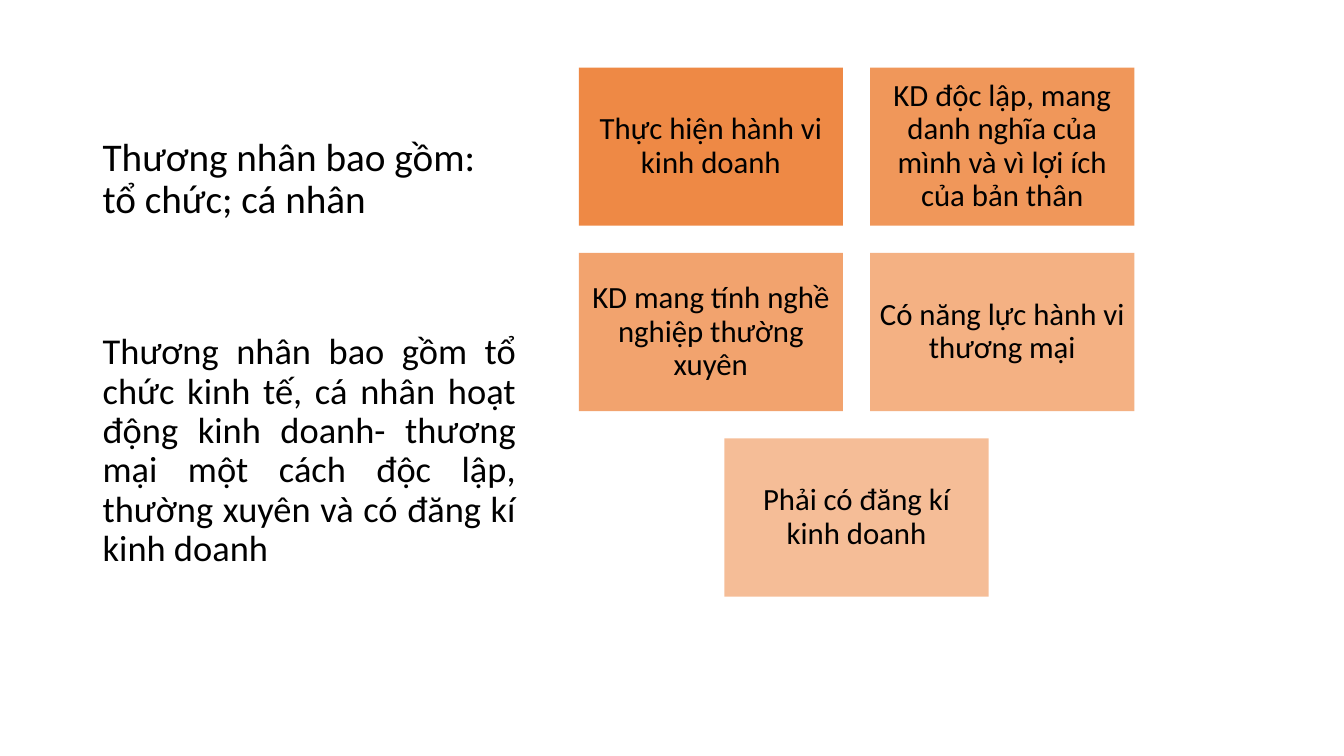
from dataclasses import dataclass

from lxml import etree
from pptx import Presentation
from pptx.dml.color import RGBColor
from pptx.enum.shapes import MSO_SHAPE
from pptx.enum.text import MSO_ANCHOR, PP_ALIGN
from pptx.oxml.ns import qn
from pptx.util import Inches, Pt

RECT = MSO_SHAPE.RECTANGLE
TOP, MIDDLE, BOTTOM = MSO_ANCHOR.TOP, MSO_ANCHOR.MIDDLE, MSO_ANCHOR.BOTTOM
LEFT, CENTER, JUSTIFY = PP_ALIGN.LEFT, PP_ALIGN.CENTER, PP_ALIGN.JUSTIFY


@dataclass(frozen=True)
class Theme:
    font: str = "Calibri"
    ink: RGBColor = RGBColor(0x00, 0x00, 0x00)
    accent: RGBColor = RGBColor(0xED, 0x7D, 0x31)
    title_size: int = 28
    body_size: int = 26
    box_size: int = 22
    line_spacing: float = 0.9


class SlideBuilder:
    def __init__(self, slide, theme):
        self.s = slide
        self.theme = theme

    def set_text(self, sp, text, size, align, anchor, inset_x, inset_y):
        tf = sp.text_frame
        frame_format = {
            "word_wrap": True, "vertical_anchor": anchor,
            "margin_left": Inches(inset_x), "margin_right": Inches(inset_x),
            "margin_top": Inches(inset_y), "margin_bottom": Inches(inset_y),
        }
        for name, value in frame_format.items():
            setattr(tf, name, value)
        p = tf.paragraphs[0]
        p.alignment = align
        p.line_spacing = self.theme.line_spacing
        r = p.add_run()
        r.text = text
        for name, value in {"name": self.theme.font, "size": Pt(size)}.items():
            setattr(r.font, name, value)
        r.font.color.rgb = self.theme.ink

    def text_box(self, at, text, size, align=LEFT, anchor=TOP):
        sp = self.s.shapes.add_textbox(*map(Inches, at))
        self.set_text(sp, text, size, align, anchor, 0.1, 0.05)

    def box(self, at, text, opacity):
        sp = self.s.shapes.add_shape(RECT, *map(Inches, at))
        sp.shadow.inherit = False
        sp.line.fill.background()
        sp.fill.solid()
        sp.fill.fore_color.rgb = self.theme.accent
        color = sp.element.spPr.find(qn("a:solidFill"))[0]
        etree.SubElement(color, qn("a:alpha"), val=str(opacity * 1000))
        self.set_text(sp, text, self.theme.box_size, CENTER, MIDDLE, 0.09, 0.09)


def main():
    prs = Presentation()
    prs.slide_width, prs.slide_height = Inches(13.33), Inches(7.5)
    theme = Theme()
    slide = SlideBuilder(prs.slides.add_slide(prs.slide_layouts[6]), theme)

    # Left column: title and definition
    slide.text_box((0.92, 0.5, 4.3, 1.75), "Thương nhân bao gồm: tổ chức; cá nhân",
                   theme.title_size, anchor=BOTTOM)
    slide.text_box((0.92, 3.26, 4.3, 3.16),
                   "Thương nhân bao gồm tổ chức kinh tế, cá nhân hoạt động kinh doanh- "
                   "thương mại một cách độc lập, thường xuyên và có đăng kí kinh doanh",
                   theme.body_size, align=JUSTIFY)

    # Right side: two-column grid of conditions, last row centred
    conditions = [
        "Thực hiện hành vi kinh doanh",
        "KD độc lập, mang danh nghĩa của mình và vì lợi ích của bản thân",
        "KD mang tính nghề nghiệp thường xuyên",
        "Có năng lực hành vi thương mại",
        "Phải có đăng kí kinh doanh",
    ]
    left, top, width, height = 5.74, 0.67, 2.62, 1.57
    gap = 0.27
    for i, condition in enumerate(conditions):
        row, col = divmod(i, 2)
        row_count = min(2, len(conditions) - 2 * row)
        x = left + (width + gap) * (col + (2 - row_count) / 2)
        y = top + (height + gap) * row
        slide.box((x, y, width, height), condition, 90 - 10 * i)

    prs.save("out.pptx")


if __name__ == "__main__":
    main()
